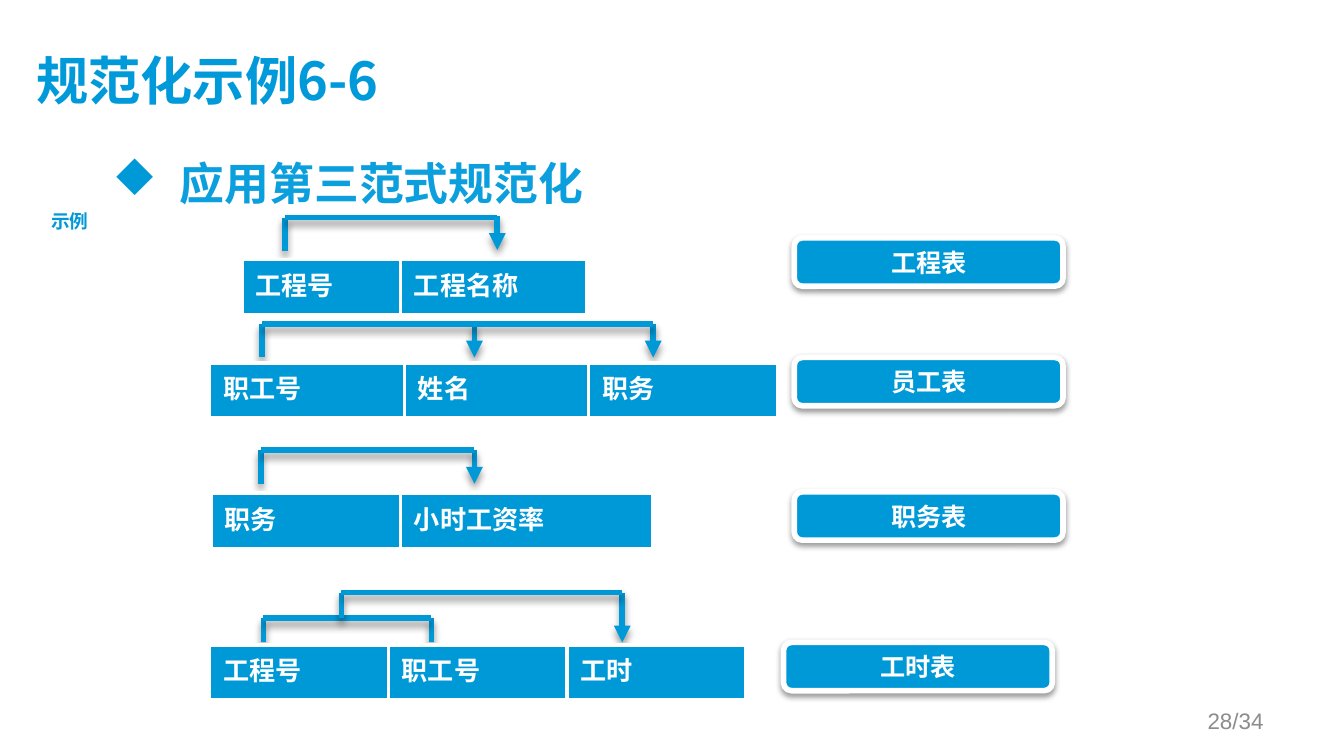
"""Build the slide on normalising tables to third normal form."""
from lxml import etree
from pptx import Presentation, util as u
from pptx.dml.color import RGBColor
from pptx.enum import shapes as kinds, text
from pptx.oxml.ns import qn

PX = 9144
HUE = {"blue": "0099D8", "title": "0099D9", "head": "0B9FDD", "white": "FFFFFF",
       "grey": "8C8C8C", "black": "000000"}
SANS = "Noto Sans CJK SC"


def add(root, tag, **vals):
    return etree.SubElement(root, qn(tag), {k: str(v) for k, v in vals.items()})


def put(frame, words, size, hue, face=SANS, bold=True, align="LEFT"):
    par = frame.paragraphs[0]
    par.alignment = getattr(text.PP_ALIGN, align)
    run = par.add_run()
    run.text = words
    for key, val in {"size": u.Pt(size), "bold": bold, "name": face}.items():
        setattr(run.font, key, val)
    run.font.color.rgb = RGBColor.from_string(HUE[hue])
    add(run.font._element, "a:ea", typeface=face)
    return par


deck = Presentation()
deck.slide_width = 1000 * PX
deck.slide_height = deck.slide_width * 9 // 16
slide = deck.slides.add_slide(deck.slide_layouts[5])
blue, white = (RGBColor.from_string(HUE[k]) for k in ("blue", "white"))

title = slide.shapes.title
for key, val in {"left": 27, "top": 23, "width": 895, "height": 77}.items():
    setattr(title, key, val * PX)
form = {"margin_left": 0, "margin_top": 0, "margin_right": 10 * PX, "margin_bottom": 5 * PX,
        "vertical_anchor": text.MSO_ANCHOR.MIDDLE, "auto_size": text.MSO_AUTO_SIZE.NONE}
for key, val in form.items():
    setattr(title.text_frame, key, val)
put(title.text_frame, "规范化示例6-6", 28, "title")

notes = [
    ((74, 111, 849, 371), True, "TOP", ("应用第三范式规范化", 24, "head")),
    ((28, 151, 48, 27), False, "TOP", ("示例", 10, "blue", "Arial", True, "CENTER")),
    ((717, 521, 233, 30), True, "MIDDLE", ("28/34", 12, "grey", "Arial", False, "RIGHT")),
]
pars = []
for spot, wrap, anchor, words in notes:
    frame = slide.shapes.add_textbox(*(n * PX for n in spot)).text_frame
    frame.word_wrap = wrap
    frame.vertical_anchor = getattr(text.MSO_ANCHOR, anchor)
    pars.append(put(frame, *words))

props = pars[0]._p.get_or_add_pPr()
props.set("marL", str(50 * PX))
props.set("indent", str(-50 * PX))
add(add(props, "a:buClr"), "a:srgbClr", val=HUE["blue"])
add(props, "a:buFont", typeface="Wingdings", charset=2)
add(props, "a:buChar", char="u")

rows = [
    ("工程表", (591, 177), (180, 193), {"工程号": 118, "工程名称": 139},
     [(212, 162, 212, 187, 0), (212, 162, 370, 162, 0), (370, 161, 370, 186, 1)]),
    ("员工表", (591, 266), (156, 270), {"职工号": 145, "姓名": 137, "职务": 141},
     [(195, 241, 195, 266, 0), (353, 241, 353, 266, 1), (486, 241, 486, 266, 1),
      (195, 241, 486, 241, 0)]),
    ("职务表", (591, 366), (157, 367), {"职务": 141, "小时工资率": 188},
     [(194, 335, 194, 360, 0), (353, 335, 353, 360, 1), (194, 335, 353, 335, 0)]),
    ("工时表", (583, 478), (156, 480), {"工程号": 133, "职工号": 133, "工时": 133},
     [(321, 460, 321, 478, 0), (196, 460, 196, 478, 0), (463, 441, 463, 478, 1),
      (196, 460, 321, 460, 0), (254, 441, 254, 460, 0), (254, 441, 463, 441, 0)]),
]
for name, spot, corner, cols, lines in rows:
    cast = []
    group = slide.shapes.add_group_shape()
    for *ends, tip in lines:
        link = group.shapes.add_connector(kinds.MSO_CONNECTOR.STRAIGHT, *(n * PX for n in ends))
        link.line.color.rgb = blue
        link.line.width = u.Pt(3)
        if tip:
            add(link._element.spPr.find(qn("a:ln")), "a:tailEnd", type="triangle")
        cast.append((link, 4, 3, 40))

    tag = slide.shapes.add_shape(kinds.MSO_SHAPE.ROUNDED_RECTANGLE,
                                 spot[0] * PX, spot[1] * PX, 200 * PX, 36 * PX)
    tag.fill.solid()
    tag.fill.fore_color.rgb = blue
    tag.line.color.rgb = white
    tag.line.width = u.Pt(3)
    put(tag.text_frame, name, 13.5, "white", "Calibri", True, "CENTER")
    cast.append((tag, 3.1, 1.6, 38))

    for item, blur, dist, alpha in cast:
        shade = add(add(item._element.spPr, "a:effectLst"), "a:outerShdw", blurRad=u.Pt(blur),
                    dist=u.Pt(dist), dir=5400000, rotWithShape=0)
        add(add(shade, "a:srgbClr", val=HUE["black"]), "a:alpha", val=alpha * 1000)

    table = slide.shapes.add_table(1, len(cols), corner[0] * PX, corner[1] * PX,
                                   sum(cols.values()) * PX, 41 * PX).table
    table.first_row = table.horz_banding = False
    for i, (word, width) in enumerate(cols.items()):
        table.columns[i].width = width * PX
        cell = table.cell(0, i)
        for key, val in {"left": 10, "top": 4, "right": 10, "bottom": 4}.items():
            setattr(cell, "margin_" + key, val * PX)
        for side in "LRTB":
            edge = add(cell._tc.get_or_add_tcPr(), "a:ln" + side, w=u.Pt(2.25))
            add(add(edge, "a:solidFill"), "a:srgbClr", val=HUE["white"])
        cell.fill.solid()
        cell.fill.fore_color.rgb = blue
        put(cell.text_frame, word, 14, "white")

deck.save("out.pptx")
